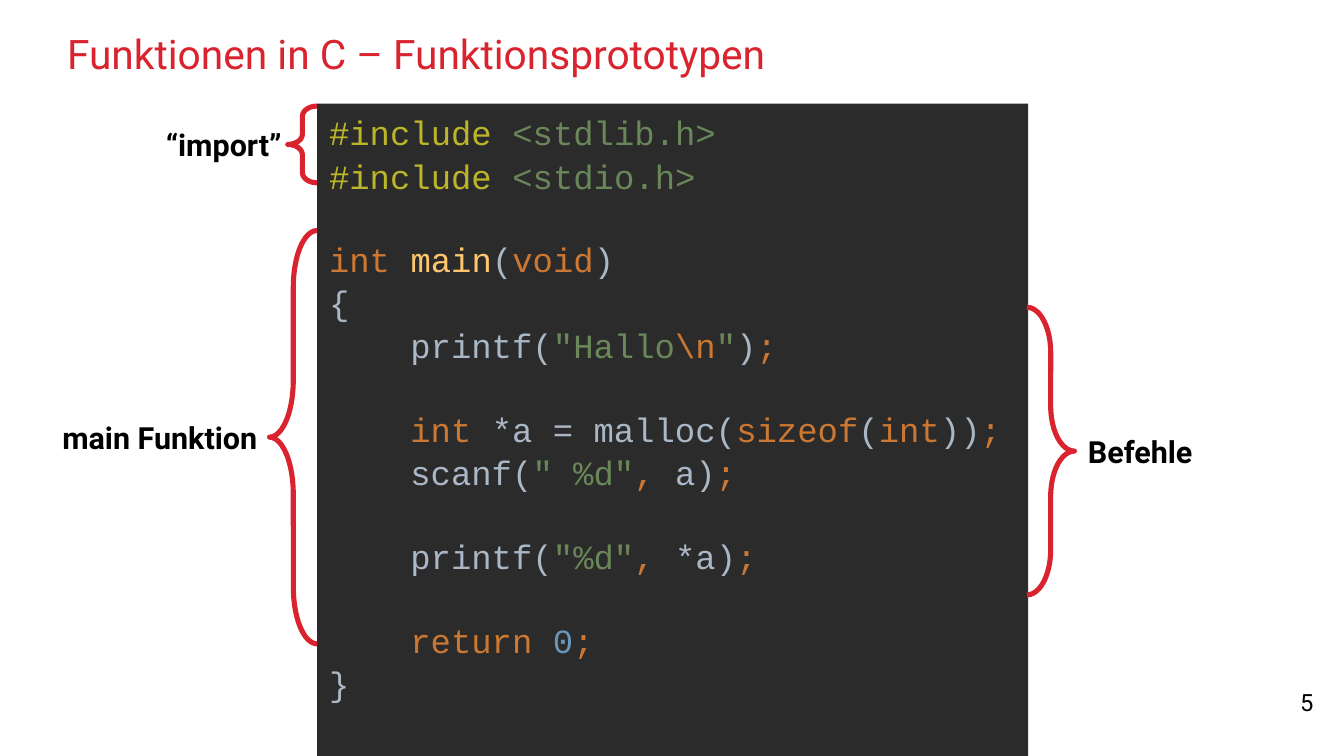
from pptx import Presentation
from pptx.dml.color import RGBColor as Rgb
from pptx.enum.shapes import MSO_SHAPE as Shape
from pptx.enum.text import MSO_ANCHOR as Anchor, PP_ALIGN as Align
from pptx.util import Inches, Pt

HUES = {
    "red": "D9232F", "black": "000000", "back": "2B2B2B",
    "macro": "BBB529", "text": "6A8759", "key": "CC7832",
    "func": "FFC66D", "plain": "A9B7C6", "num": "6897BB",
}

# Each row: blank lines above, indent steps, coloured tokens
CODE = [
    (0, 0, [("macro", "#include "), ("text", "<stdlib.h>")]),
    (0, 0, [("macro", "#include "), ("text", "<stdio.h>")]),
    (1, 0, [("key", "int "), ("func", "main"), ("plain", "("),
            ("key", "void"), ("plain", ")")]),
    (0, 0, [("plain", "{")]),
    (0, 1, [("plain", "printf("), ("text", '"Hallo'), ("key", "\\n"),
            ("text", '"'), ("plain", ")"), ("key", ";")]),
    (1, 1, [("key", "int "), ("plain", "*a = malloc("), ("key", "sizeof"),
            ("plain", "("), ("key", "int"), ("plain", "))"), ("key", ";")]),
    (0, 1, [("plain", "scanf("), ("text", '" %d"'), ("key", ", "),
            ("plain", "a)"), ("key", ";")]),
    (1, 1, [("plain", "printf("), ("text", '"%d"'), ("key", ", "),
            ("plain", "*a)"), ("key", ";")]),
    (1, 1, [("key", "return "), ("num", "0"), ("key", ";")]),
    (0, 0, [("plain", "}")]),
]

# Each brace: label, box, curve, gap to the label, opens to the right
MARKS = [
    ("“import”", (2.36, 0.87, 0.24, 0.63), 0.35, 0.05, True),
    ("Befehle", (8.42, 2.52, 0.39, 2.36), 0.95, 0.11, False),
    ("main Funktion", (2.21, 1.89, 0.39, 3.39), 1.2, 0.1, True),
]


def tint(name):
    """Return the named colour."""
    return Rgb.from_string(HUES[name])


def style(run, size, hue, face="Roboto", bold=False):
    """Format one run."""
    font = run.font
    font.name, font.size, font.bold = face, Pt(size), bold
    font.color.rgb = tint(hue)


def label(slide, box, text, size, align, bold=False):
    """Place a single line of text in the middle of its box."""
    frame = slide.shapes.add_textbox(*map(Inches, box)).text_frame
    frame.word_wrap = True
    frame.vertical_anchor = Anchor.MIDDLE
    frame.margin_left = frame.margin_right = 0
    para = frame.paragraphs[0]
    para.text, para.alignment = text, align
    style(para.runs[0], size, "black", bold=bold)


def head(slide, box, text):
    """Place and format the title."""
    title = slide.shapes.title
    title.left, title.top, title.width, title.height = map(Inches, box)
    frame = title.text_frame
    frame.text = text
    frame.vertical_anchor = Anchor.MIDDLE
    frame.margin_left = frame.margin_right = 0
    frame.margin_top = frame.margin_bottom = 0
    para = frame.paragraphs[0]
    para.alignment = Align.LEFT
    style(para.runs[0], 24, "red")


def listing(slide, box, rows):
    """Draw the dark panel with the coloured code."""
    panel = slide.shapes.add_shape(Shape.RECTANGLE, *map(Inches, box))
    panel.shadow.inherit = False
    panel.fill.solid()
    panel.fill.fore_color.rgb = tint("back")
    panel.line.fill.background()
    frame = panel.text_frame
    frame.word_wrap = True
    frame.vertical_anchor = Anchor.TOP
    for i, (gap, step, tokens) in enumerate(rows):
        para = frame.add_paragraph() if i else frame.paragraphs[0]
        para.alignment = Align.LEFT
        para.line_spacing = 1.06
        para.space_before = Pt(24 * gap)
        props = para._p.get_or_add_pPr()
        props.set("marL", str(Pt(48 * step)))
        props.set("indent", "0")
        for hue, text in tokens:
            run = para.add_run()
            run.text = text
            style(run, 20, hue, "Courier New")


def brace(slide, text, box, curve, gap, left):
    """Draw a curly brace with its label beside the tip."""
    kind = Shape.LEFT_BRACE if left else Shape.RIGHT_BRACE
    mark = slide.shapes.add_shape(kind, *map(Inches, box))
    mark.shadow.inherit = False
    mark.adjustments[0] = curve
    mark.fill.background()
    mark.line.color.rgb = tint("red")
    mark.line.width = Pt(3)
    x, y, w, h = box
    wide, high = 1.8, 0.4
    start = x - gap - wide if left else x + w + gap
    align = Align.RIGHT if left else Align.LEFT
    spot = (start, y + (h - high) / 2, wide, high)
    label(slide, spot, text, 18, align, True)


def main():
    """Build the slide and save it."""
    deck = Presentation()
    deck.slide_width, deck.slide_height = Inches(11.02), Inches(6.2)
    slide = deck.slides.add_slide(deck.slide_layouts[5])
    head(slide, (0.55, 0.25, 9.92, 0.38), "Funktionen in C – Funktionsprototypen")
    listing(slide, (2.6, 0.85, 5.83, 5.42), CODE)
    for mark in MARKS:
        brace(slide, *mark)
    label(slide, (9.37, 5.61, 1.4, 0.29), "5", 14, Align.RIGHT)
    deck.save("out.pptx")


if __name__ == "__main__":
    main()
